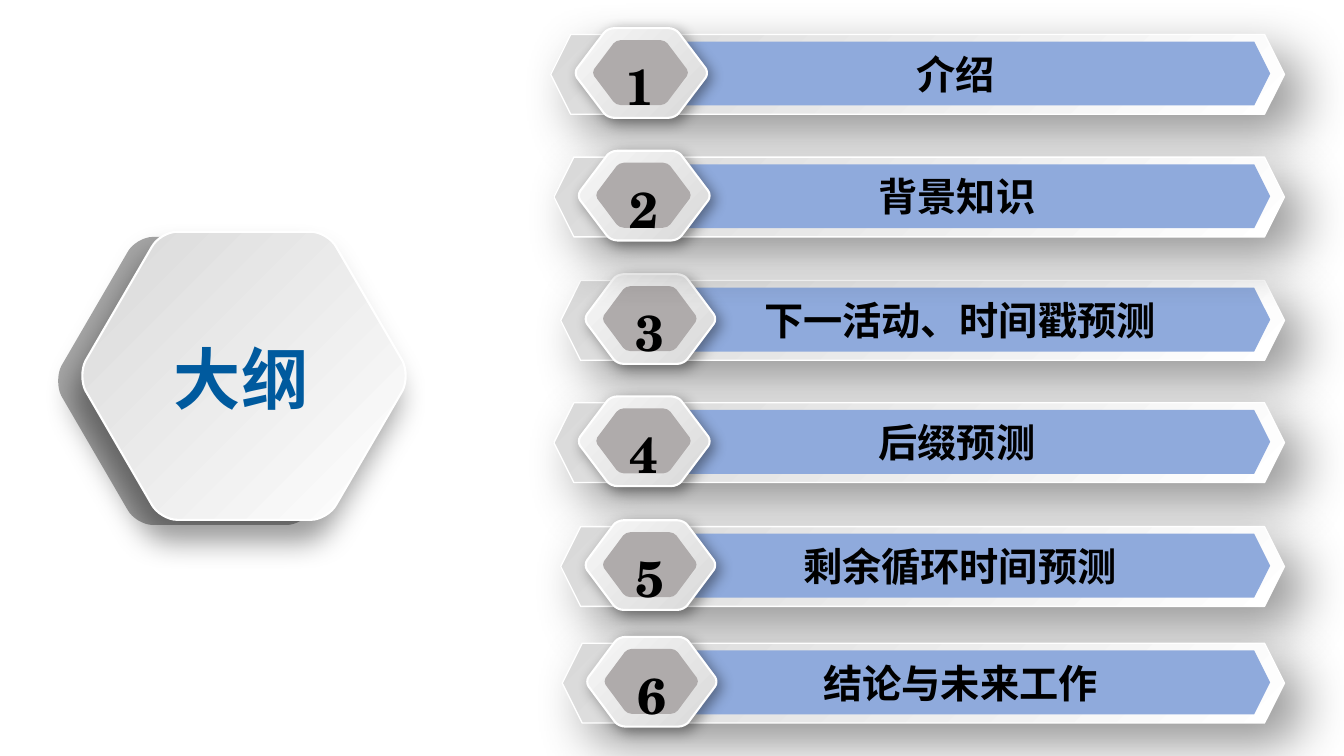
from lxml import etree
from pptx import Presentation
from pptx.dml.color import RGBColor
from pptx.enum import shapes, text
from pptx.oxml.ns import qn
from pptx.util import Cm, Pt

FONT = "TeX Gyre Schola"
BAR_RIGHT, BAR_HEIGHT = 32.37, 2.01

# Number, heading, left and top in cm; row 2 comes last so its shadow falls on row 3
ROWS = [
    ("1", "介绍", 13.88, 0.87),
    ("3", "下一活动、时间戳预测", 14.13, 7.07),
    ("4", "后缀预测", 13.96, 10.15),
    ("5", "剩余循环时间预测", 14.13, 13.27),
    ("6", "结论与未来工作", 14.17, 16.21),
    ("2", "背景知识", 13.96, 3.96),
]

# Rounded corners on the left side as Bezier points, in fractions of the box
LEFT_CORNERS = [
    [(0.295, 1), (0.265, 1), (0.23, 0.975), (0.217, 0.948)],
    [(0.013, 0.552), (0, 0.524), (0, 0.476), (0.013, 0.448)],
    [(0.217, 0.052), (0.23, 0.025), (0.265, 0), (0.295, 0)],
]
RIGHT_CORNERS = [[(1 - x, y) for x, y in reversed(corner)]
                 for corner in reversed(LEFT_CORNERS)]
CORNERS = LEFT_CORNERS + RIGHT_CORNERS


def color(value):
    return RGBColor.from_string(value)


def add_shadow(shape, alpha, blur, distance, direction):
    effects = shape._element.spPr.find(qn("a:effectLst"))
    shadow = etree.SubElement(
        effects, qn("a:outerShdw"), blurRad=str(Pt(blur)), dist=str(Pt(distance)),
        dir=str(direction * 60000), algn="ctr", rotWithShape="0")
    black = etree.SubElement(shadow, qn("a:srgbClr"), val="000000")
    etree.SubElement(black, qn("a:alpha"), val=str(alpha * 1000))


def style(shape, fill, angle=0, line=None, shadow=None):
    """Fill with one colour, or with a gradient if fill is a pair."""
    shape.shadow.inherit = False
    if isinstance(fill, tuple):
        shape.fill.gradient()
        shape.fill.gradient_angle = 360 - angle
        for stop, value in zip(shape.fill.gradient_stops, fill):
            stop.color.rgb = color(value)
    else:
        shape.fill.solid()
        shape.fill.fore_color.rgb = color(fill)
    if line:
        shape.line.color.rgb = color("FFFFFF")
        shape.line.width = Pt(line)
    else:
        shape.line.fill.background()
    if shadow:
        add_shadow(shape, *shadow)


def round_corners(shape):
    """Turn the three segments of each corner into one Bezier curve."""
    lines = list(shape._element.iter(qn("a:lnTo")))
    for start in range(0, 4 * len(CORNERS), 4):
        segments = lines[start:start + 3]
        curve = etree.Element(qn("a:cubicBezTo"))
        segments[0].addprevious(curve)
        for segment in segments:
            curve.append(segment[0])
            segment.getparent().remove(segment)


def add_rounded_hexagon(parent, left, top, width, height, **look):
    points = [(Cm(left + x * width), Cm(top + y * height))
              for corner in CORNERS for x, y in corner]
    builder = parent.build_freeform(*points[0])
    builder.add_line_segments(points[1:], close=True)
    shape = builder.convert_to_shape()
    round_corners(shape)
    style(shape, **look)


def add_hexagon(parent, left, top, width, height, **look):
    shape = parent.add_shape(shapes.MSO_SHAPE.HEXAGON,
                             Cm(left), Cm(top), Cm(width), Cm(height))
    style(shape, **look)
    return shape


def write(shape, words, size, value="000000"):
    paragraph = shape.text_frame.paragraphs[0]
    paragraph.alignment = text.PP_ALIGN.CENTER
    run = paragraph.add_run()
    run.text = words
    run.font.name = FONT
    run.font.size = Pt(size)
    run.font.bold = True
    run.font.color.rgb = color(value)


def add_label(parent, left, top, width, height, words, size, value="000000"):
    box = parent.add_textbox(Cm(left), Cm(top), Cm(width), Cm(height))
    box.text_frame.word_wrap = True
    box.text_frame.auto_size = text.MSO_AUTO_SIZE.SHAPE_TO_FIT_TEXT
    write(box, words, size, value)
    return box


def add_title(parent, left, top, width, height):
    # Dark hexagon behind, light one in front
    add_rounded_hexagon(parent, left, top + 0.13, width, height, fill="A6A6A6")
    add_rounded_hexagon(parent, left + 0.61, top, width, height,
                        fill=("D9D9D9", "FFFFFF"), angle=45, line=1.5,
                        shadow=(40, 21, 16, 113))
    box = add_label(parent, left + 0.61, top + 2.49, width - 0.15, 2.39,
                    "大纲", 48, "005A9E")
    frame = box.text_frame
    frame.margin_left = frame.margin_right = Cm(0.33)
    frame.margin_top = frame.margin_bottom = Cm(0.18)


def add_outline_row(parent, left, top, width, height, number, heading):
    # Bar with its blue panel
    add_hexagon(parent, left, top, width, height, fill=("FFFFFF", "D9D9D9"),
                angle=225, line=1, shadow=(42, 38, 19, 45))
    panel_left = 0.12 * width + 0.05
    panel = add_hexagon(parent, left + panel_left, top + 0.18,
                        width - panel_left - 0.36, height - 0.4, fill="8FAADC")
    panel.text_frame.vertical_anchor = text.MSO_ANCHOR.MIDDLE
    write(panel, heading, 28)
    # Number badge
    add_rounded_hexagon(parent, left + 0.62, top - 0.16, 0.18 * width, height + 0.25,
                        fill=("F7F7F7", "D9D9D9"), angle=45, line=1.5,
                        shadow=(40, 10, 4, 45))
    add_rounded_hexagon(parent, left + 1.06, top + 0.14, 0.13 * width, height - 0.37,
                        fill="AFABAB")
    add_label(parent, left + 1.42, top + 0.4, 1.68, 1.8, number, 36)


def main():
    presentation = Presentation()
    presentation.slide_width, presentation.slide_height = Cm(33.87), Cm(19.05)
    slide = presentation.slides.add_slide(presentation.slide_layouts[6])
    add_title(slide.shapes, 1.44, 5.84, 8.2, 7.26)
    for number, heading, left, top in ROWS:
        group = slide.shapes.add_group_shape()
        add_outline_row(group.shapes, left, top, BAR_RIGHT - left, BAR_HEIGHT,
                        number, heading)
    presentation.save("out.pptx")


if __name__ == "__main__":
    main()
